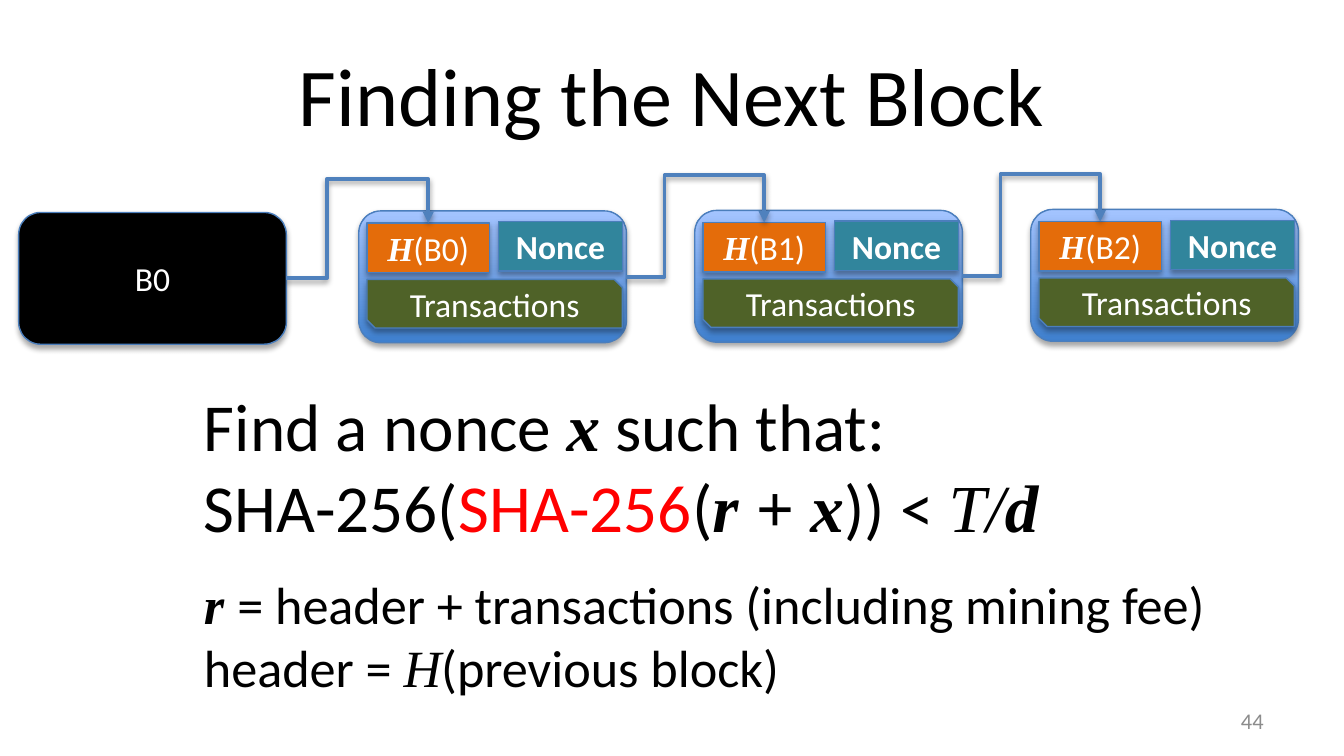
import pptx
import pptx.util
import pptx.dml.color
import pptx.enum.shapes
import pptx.enum.text
import pptx.oxml
import pptx.oxml.ns

Pt = pptx.util.Pt
RGB = pptx.dml.color.RGBColor.from_string
Kind = pptx.enum.shapes.MSO_SHAPE
Align = pptx.enum.text.PP_ALIGN
qn = pptx.oxml.ns.qn

hues = {
    "black": "000000", "white": "FFFFFF", "red": "FF0000", "gray": "8C8C8C",
    "edge": "4B7EBC", "link": "4F81BD", "deep": "3F80CE", "pale": "A4C4FF",
    "hash": "E46C0A", "nonce": "31859C", "trans": "4F6228",
}


def write(shape, paras, size=18, hue="black", align=Align.LEFT, mid=True, wrap=True):
    """Each run is (text, marks): m serif, b bold, i italic, r red."""
    frame = shape.text_frame
    frame.word_wrap = wrap
    anchor = pptx.enum.text.MSO_ANCHOR
    frame.vertical_anchor = anchor.MIDDLE if mid else anchor.TOP
    for n, runs in enumerate(paras):
        para = frame.add_paragraph() if n else frame.paragraphs[0]
        para.alignment = align
        for text, marks in runs:
            run = para.add_run()
            run.text = text
            font = run.font
            font.name = "Times New Roman" if "m" in marks else "Calibri"
            font.size = Pt(size)
            font.bold = "b" in marks
            font.italic = "i" in marks
            font.color.rgb = RGB(hues["red" if "r" in marks else hue])


def finish(shape, hue, width, alpha, dist):
    """Set the outline and a soft shadow below."""
    shape.line.color.rgb = RGB(hues[hue])
    shape.line.width = Pt(width)
    shape._element.spPr.append(pptx.oxml.parse_xml(
        f'<a:effectLst {pptx.oxml.ns.nsdecls("a")}>'
        f'<a:outerShdw blurRad="{Pt(3.1)}" dist="{Pt(dist)}" dir="5400000" rotWithShape="0">'
        f'<a:srgbClr val="{hues["black"]}"><a:alpha val="{alpha * 1000}"/></a:srgbClr>'
        '</a:outerShdw></a:effectLst>'))


deck = pptx.Presentation()
deck.slide_width, deck.slide_height = Pt(720), Pt(405)
slide = deck.slides.add_slide(deck.slide_layouts[6])
shapes = slide.shapes

# Title and page number
box = shapes.add_textbox(Pt(36), Pt(16.5), Pt(648), Pt(67.5))
write(box, [[("Finding the Next Block", "")]], size=44, align=Align.CENTER)
box = shapes.add_textbox(Pt(516), Pt(375.4), Pt(168), Pt(21.6))
write(box, [[("44", "")]], size=12, hue="gray", align=Align.RIGHT)

# First block
wide, high = 143.4, 70.6
left, top = 10, 113.8
first = shapes.add_shape(Kind.ROUNDED_RECTANGLE, Pt(left), Pt(top), Pt(wide), Pt(high))
first.fill.solid()
first.fill.fore_color.rgb = RGB(hues["black"])
finish(first, "edge", 0.75, 35, 1.8)
write(first, [[("B0", "")]], hue="white", align=Align.CENTER)

# Chained blocks: top edge, then the bends of the incoming link
chain = [(113, 28500, 179500), (112.7, 27700, 186900), (112.2, 27700, 186900)]
for n, (y, turn, rise) in enumerate(chain):
    x = 192.2 + 180 * n
    block = shapes.add_shape(Kind.ROUNDED_RECTANGLE, Pt(x), Pt(y), Pt(wide), Pt(high))
    block.fill.gradient()
    block.fill.gradient_angle = 90
    for stop, hue, place in zip(block.fill.gradient_stops, ("deep", "pale"), (0, 1)):
        stop.color.rgb = RGB(hues[hue])
        stop.position = place
    finish(block, "edge", 0.75, 35, 1.8)

    parts = [
        (Kind.RECTANGLE, 4.4, 6.5, 65.6, 26.5, "hash", [("H", "mbi"), (f"(B{n})", "")]),
        (Kind.RECTANGLE, 75, 5.8, 66.2, 26.5, "nonce", [("Nonce", "b")]),
        (Kind.SNIP_2_DIAG_RECTANGLE, 4.4, 36.7, 136.8, 26, "trans", [("Transactions", "")]),
    ]
    for kind, dx, dy, w, h, hue, runs in parts:
        part = shapes.add_shape(kind, Pt(x + dx), Pt(y + dy), Pt(w), Pt(h))
        part.fill.solid()
        part.fill.fore_color.rgb = RGB(hues[hue])
        finish(part, "edge", 0.75, 35, 1.8)
        write(part, [runs], hue="white", align=Align.CENTER)

    # Link from the previous block to the hash
    link = shapes.add_connector(
        pptx.enum.shapes.MSO_CONNECTOR.ELBOW,
        Pt(left + wide), Pt(top + high / 2), Pt(x + 37.2), Pt(y + 6.5))
    finish(link, "link", 2, 38, 1.6)
    props = link._element.spPr
    geom = props.find(qn("a:prstGeom"))
    geom.set("prst", "bentConnector4")
    bends = geom.find(qn("a:avLst"))
    for name, val in (("adj1", turn), ("adj2", rise)):
        guide = bends.makeelement(qn("a:gd"), {"name": name, "fmla": f"val {val}"})
        bends.append(guide)
    line = props.find(qn("a:ln"))
    line.append(line.makeelement(qn("a:tailEnd"), {"type": "triangle"}))
    left, top = x, y

# Puzzle
box = shapes.add_textbox(Pt(102.2), Pt(202.3), Pt(476.6), Pt(94.3))
write(box, [
    [("Find a nonce ", ""), ("x", "mbi"), (" such that:", "")],
    [("SHA-256(", ""), ("SHA-256", "r"), ("(", ""), ("r + x", "mbi"),
     (")) < ", ""), ("T/", "mi"), ("d", "mbi")],
], size=36, mid=False, wrap=False)

# Meaning of the terms
box = shapes.add_textbox(Pt(102.2), Pt(303.1), Pt(560.2), Pt(74.9))
write(box, [
    [("r ", "mbi"), ("= header + transactions (including mining fee)", "")],
    [("header = ", ""), ("H", "mi"), ("(previous block)", "")],
], size=28, mid=False, wrap=False)

deck.save("out.pptx")
